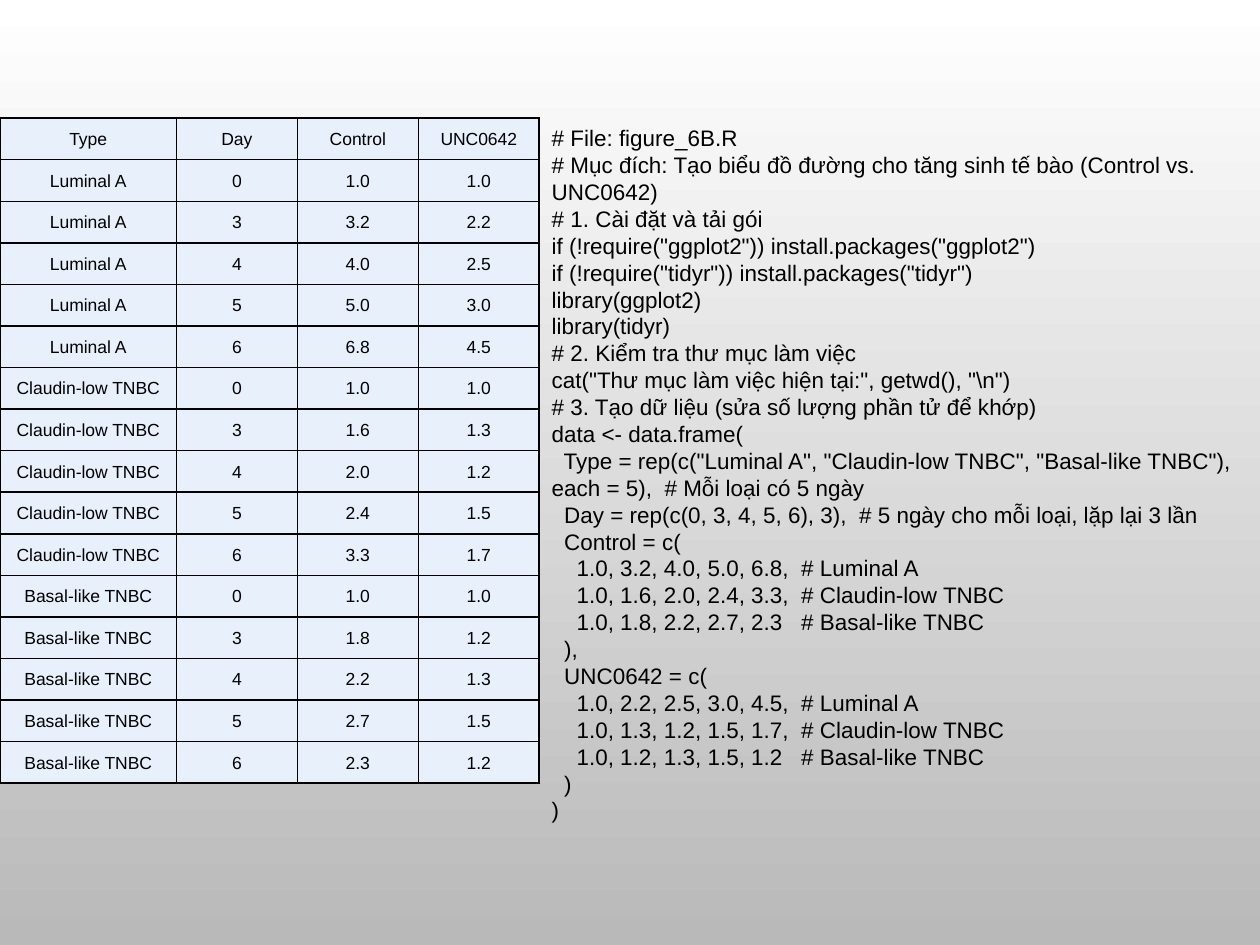
"""Builds a slide with a cell growth table beside the R code that holds its data."""
from dataclasses import dataclass

from lxml import etree
from pptx import Presentation
from pptx.dml.color import RGBColor
from pptx.enum.text import MSO_ANCHOR, MSO_AUTO_SIZE, PP_ALIGN
from pptx.oxml.ns import qn
from pptx.slide import Slide
from pptx.table import _Cell
from pptx.text.text import _Paragraph
from pptx.util import Inches, Pt

MIDDLE = MSO_ANCHOR.MIDDLE
GROW = MSO_AUTO_SIZE.SHAPE_TO_FIT_TEXT
CENTER, LEFT = PP_ALIGN.CENTER, PP_ALIGN.LEFT

COLORS = {"ink": "000000", "cell": "E8F0FC", "sky": "FFFFFF", "ground": "B9B9B9"}
FONT = "Arial"
SLIDE_WIDTH, SLIDE_HEIGHT = 10, 7.5
CONTENT_TOP = SLIDE_HEIGHT / 8
COLUMN_WIDTHS = (1.4, 0.96, 0.96, 0.96)
ROW_HEIGHT = 0.33
CODE_HEIGHT = 5.68
BORDER_SIDES = ("a:lnL", "a:lnR", "a:lnT", "a:lnB")
HEADINGS = ("Type", "Day", "Control", "UNC0642")
DAYS = (0, 3, 4, 5, 6)


@dataclass(frozen=True)
class Growth:
    """Relative growth of one tumour type, one value per day."""
    tumour: str
    control: tuple[float, ...]
    treated: tuple[float, ...]

    def rows(self) -> list[tuple[str, ...]]:
        """Return the table rows of this tumour type."""
        return [(self.tumour, str(day), f"{control:.1f}", f"{treated:.1f}")
                for day, control, treated in zip(DAYS, self.control, self.treated)]


GROWTHS = (
    Growth("Luminal A", (1.0, 3.2, 4.0, 5.0, 6.8), (1.0, 2.2, 2.5, 3.0, 4.5)),
    Growth("Claudin-low TNBC", (1.0, 1.6, 2.0, 2.4, 3.3), (1.0, 1.3, 1.2, 1.5, 1.7)),
    Growth("Basal-like TNBC", (1.0, 1.8, 2.2, 2.7, 2.3), (1.0, 1.2, 1.3, 1.5, 1.2)),
)

SETUP_CODE = (
    "# File: figure_6B.R",
    "# Mục đích: Tạo biểu đồ đường cho tăng sinh tế bào (Control vs. UNC0642)",
    "# 1. Cài đặt và tải gói",
    'if (!require("ggplot2")) install.packages("ggplot2")',
    'if (!require("tidyr")) install.packages("tidyr")',
    "library(ggplot2)",
    "library(tidyr)",
    "# 2. Kiểm tra thư mục làm việc",
    r'cat("Thư mục làm việc hiện tại:", getwd(), "\n")',
    "# 3. Tạo dữ liệu (sửa số lượng phần tử để khớp)",
)
FRAME_CODE = (
    "data <- data.frame(",
    '  Type = rep(c("Luminal A", "Claudin-low TNBC", "Basal-like TNBC"), each = 5),'
    "  # Mỗi loại có 5 ngày",
    "  Day = rep(c(0, 3, 4, 5, 6), 3),  # 5 ngày cho mỗi loại, lặp lại 3 lần",
)


def vector_code(name: str, series: list[tuple[float, ...]], closing: str) -> list[str]:
    """Return the R lines that define one column of growth values."""
    lines = [f"  {name} = c("]
    for index, (growth, values) in enumerate(zip(GROWTHS, series), start=1):
        numbers = ", ".join(f"{value:.1f}" for value in values)
        separator = "," if index < len(GROWTHS) else " "
        lines.append(f"    {numbers}{separator}  # {growth.tumour}")
    return lines + [closing]


def code_lines() -> list[str]:
    """Return all lines of the R code."""
    return [*SETUP_CODE, *FRAME_CODE,
            *vector_code("Control", [growth.control for growth in GROWTHS], "  ),"),
            *vector_code("UNC0642", [growth.treated for growth in GROWTHS], "  )"),
            ")"]


def rgb(name: str) -> RGBColor:
    """Look up a named colour."""
    return RGBColor.from_string(COLORS[name])


def write(paragraph: _Paragraph, text: str, size: float, align: PP_ALIGN) -> None:
    """Add one formatted run to a paragraph."""
    paragraph.alignment = align
    run = paragraph.add_run()
    run.text = text
    run.font.name = FONT
    run.font.size = Pt(size)
    run.font.color.rgb = rgb("ink")


def style_cell(cell: _Cell) -> None:
    """Give a cell its borders, fill, anchor and margins."""
    properties = cell._tc.get_or_add_tcPr()
    for side in BORDER_SIDES:
        border = etree.SubElement(properties, qn(side), w=str(Pt(1)))
        fill = etree.SubElement(border, qn("a:solidFill"))
        etree.SubElement(fill, qn("a:srgbClr"), val=COLORS["ink"])
    cell.fill.solid()
    cell.fill.fore_color.rgb = rgb("cell")
    cell.vertical_anchor = MIDDLE
    cell.margin_left = cell.margin_right = cell.margin_top = Inches(0.01)
    cell.margin_bottom = 0


def paint_background(slide: Slide) -> None:
    """Fill the background with a gradient from top to bottom."""
    fill = slide.background.fill
    fill.gradient()
    fill.gradient_angle = 270
    for stop, name in zip(fill.gradient_stops, ("sky", "ground")):
        stop.color.rgb = rgb(name)


def add_growth_table(slide: Slide) -> None:
    """Draw the table of growth values at the left edge."""
    rows = [HEADINGS] + [row for growth in GROWTHS for row in growth.rows()]
    table = slide.shapes.add_table(
        len(rows), len(HEADINGS), 0, Inches(CONTENT_TOP),
        Inches(sum(COLUMN_WIDTHS)), Inches(ROW_HEIGHT * len(rows))).table
    for column, width in zip(table.columns, COLUMN_WIDTHS):
        column.width = Inches(width)
    for table_row, texts in zip(table.rows, rows):
        table_row.height = Inches(ROW_HEIGHT)
        for cell, text in zip(table_row.cells, texts):
            style_cell(cell)
            write(cell.text_frame.paragraphs[0], text, 10, CENTER)


def add_code(slide: Slide) -> None:
    """Write the R code in the space right of the table."""
    left = sum(COLUMN_WIDTHS)
    frame = slide.shapes.add_textbox(
        Inches(left), Inches(CONTENT_TOP),
        Inches(SLIDE_WIDTH - left), Inches(CODE_HEIGHT)).text_frame
    frame.word_wrap = True
    frame.auto_size = GROW
    for index, line in enumerate(code_lines()):
        paragraph = frame.add_paragraph() if index else frame.paragraphs[0]
        paragraph.line_spacing = Pt(15.35)
        write(paragraph, line, 12.8, LEFT)


def main() -> None:
    """Build and save the slide."""
    deck = Presentation()
    deck.slide_width, deck.slide_height = Inches(SLIDE_WIDTH), Inches(SLIDE_HEIGHT)
    slide = deck.slides.add_slide(deck.slide_layouts[6])
    paint_background(slide)
    add_growth_table(slide)
    add_code(slide)
    deck.save("out.pptx")


if __name__ == "__main__":
    main()
